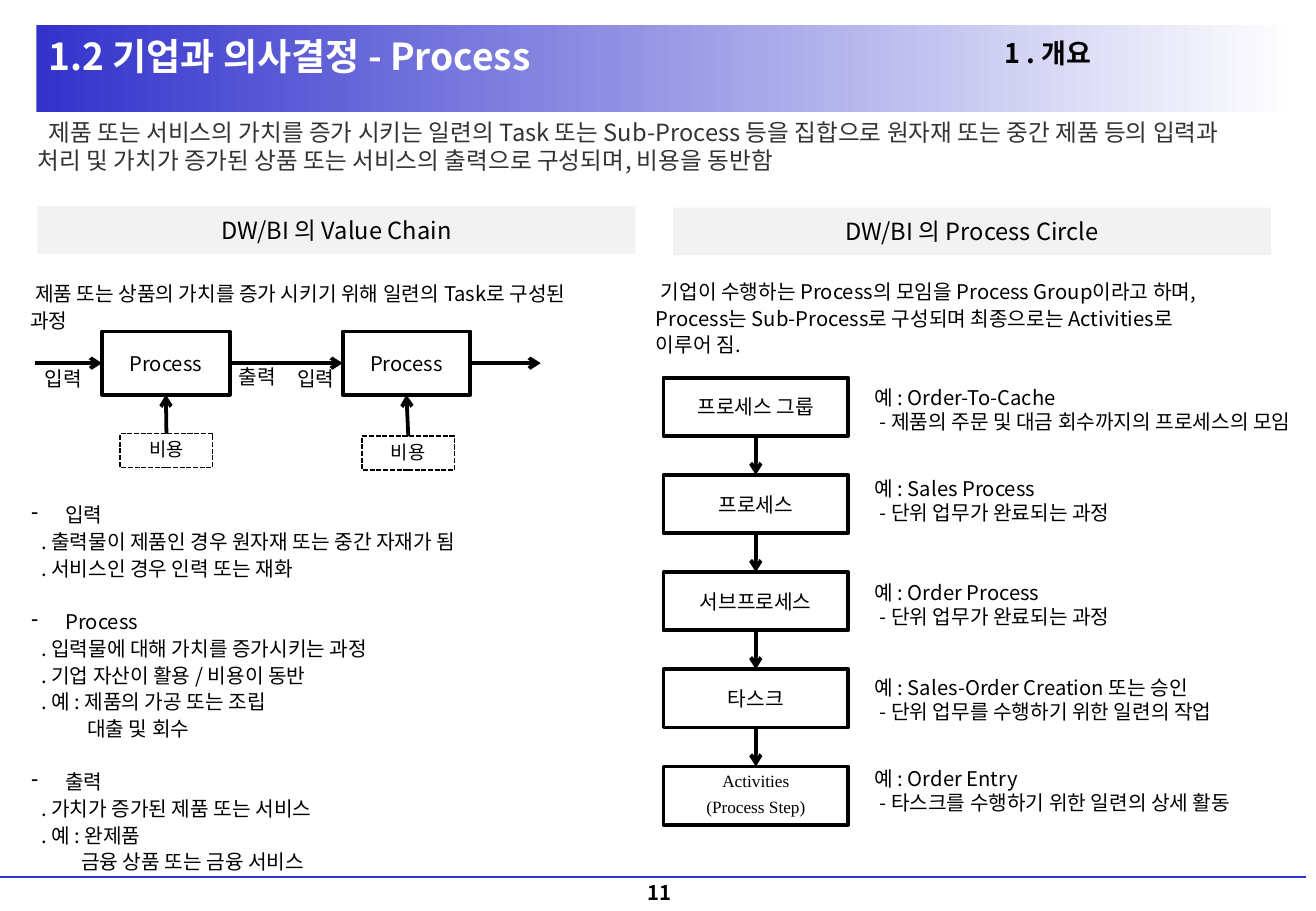
from dataclasses import dataclass
from typing import NamedTuple

from lxml import etree
from pptx import Presentation, util as u
from pptx.dml import color
from pptx.enum import dml, shapes, text
from pptx.oxml import ns


@dataclass(frozen=True)
class Theme:
    sans: str = "Noto Sans CJK KR"
    serif: str = "Times New Roman"
    blue: str = "3333CC"
    white: str = "FFFFFF"
    black: str = "000000"
    gray: str = "333333"
    band: str = "F2F2F2"
    title: float = 22
    chapter: float = 16
    lead: float = 14
    body: float = 12
    cost: float = 11.1
    step: float = 10.2
    thick: float = 2.25
    thin: float = 1


T = Theme()
LEFT, CENTER, RIGHT = text.PP_ALIGN.LEFT, text.PP_ALIGN.CENTER, text.PP_ALIGN.RIGHT
TOP, MIDDLE, BOTTOM = (text.MSO_ANCHOR.TOP, text.MSO_ANCHOR.MIDDLE,
                       text.MSO_ANCHOR.BOTTOM)


class Box(NamedTuple):
    x: float
    y: float
    w: float
    h: float


class Line(NamedTuple):
    text: str
    indent: float = 0
    bullet: str = ""
    before: float = 0
    spacing: float = 1.0


class Style(NamedTuple):
    size: float = T.body
    color: str = T.black
    bold: bool = False
    align: text.PP_ALIGN = LEFT
    anchor: text.MSO_ANCHOR = TOP
    inset: bool = True
    font: str = T.sans


class Level(NamedTuple):
    lines: list[Line]
    style: Style
    example_y: float
    example: str
    detail: str


BOXED = Style(align=CENTER, anchor=MIDDLE)
BAND = Style(T.lead, align=CENTER, anchor=MIDDLE, inset=False)


def rgb(value: str) -> color.RGBColor:
    return color.RGBColor.from_string(value)


def write(sp, lines: list[Line], style: Style) -> None:
    tf = sp.text_frame
    tf.word_wrap = True
    tf.vertical_anchor = style.anchor
    if not style.inset:
        tf.margin_left = tf.margin_right = tf.margin_top = tf.margin_bottom = 0
    tf.text = "\n".join(line.text for line in lines)
    for p, line in zip(tf.paragraphs, lines):
        p.alignment = style.align
        p.line_spacing = line.spacing
        if line.before:
            p.space_before = u.Pt(line.before)
        pPr = p._p.get_or_add_pPr()
        if line.bullet:
            pPr.set("marL", str(u.Inches(line.indent)))
            pPr.set("indent", str(-u.Inches(line.indent)))
            etree.SubElement(pPr, ns.qn("a:buChar")).set("char", line.bullet)
        elif line.indent:
            pPr.set("marL", "0")
            pPr.set("indent", str(u.Inches(line.indent)))
        for r in p.runs:
            r.font.name = style.font
            r.font.size = u.Pt(style.size)
            r.font.bold = style.bold
            r.font.color.rgb = rgb(style.color)
            etree.SubElement(r._r.get_or_add_rPr(), ns.qn("a:ea")).set("typeface", T.sans)


def label(s, box: Box, lines: list[Line], style: Style = Style()) -> None:
    write(s.shapes.add_textbox(*map(u.Inches, box)), lines, style)


def rect(s, box: Box, lines: list[Line], style: Style, fill: str = "",
         border: float = 0, dashed: bool = False):
    sp = s.shapes.add_shape(shapes.MSO_SHAPE.RECTANGLE, *map(u.Inches, box))
    sp.shadow.inherit = False
    if fill:
        sp.fill.solid()
        sp.fill.fore_color.rgb = rgb(fill)
    else:
        sp.fill.background()
    if border:
        sp.line.color.rgb = rgb(T.black)
        sp.line.width = u.Pt(border)
        if dashed:
            sp.line.dash_style = dml.MSO_LINE.SQUARE_DOT
    else:
        sp.line.fill.background()
    if lines:
        write(sp, lines, style)
    return sp


def connect(s, start: tuple[float, float], end: tuple[float, float], begin_at=None,
            end_at=None, width: float = T.thick, ink: str = T.black, arrow: bool = True):
    cn = s.shapes.add_connector(shapes.MSO_CONNECTOR.STRAIGHT, *map(u.Inches, start + end))
    if begin_at:
        cn.begin_connect(*begin_at)
    if end_at:
        cn.end_connect(*end_at)
    cn.line.color.rgb = rgb(ink)
    cn.line.width = u.Pt(width)
    if arrow:
        etree.SubElement(cn.line._get_or_add_ln(), ns.qn("a:tailEnd")).set("type", "arrow")
    etree.SubElement(cn._element.spPr, ns.qn("a:effectLst"))


def frame(s) -> None:
    # Title bar
    bar = rect(s, Box(0.3, 0.21, 10.4, 0.71), [], BOXED)
    bar.fill.gradient()
    bar.fill.gradient_angle = 0
    for stop, tone, position in zip(bar.fill.gradient_stops, (T.blue, T.white), (0, 1)):
        stop.color.rgb = rgb(tone)
        stop.position = position
    label(s, Box(0.3, 0.22, 7.72, 0.48), [Line("1.2 기업과 의사결정 - Process")],
          Style(T.title, T.white, True, anchor=MIDDLE))
    label(s, Box(4.88, 0.19, 4.1, 0.48), [Line("1 . 개요")],
          Style(T.chapter, bold=True, align=RIGHT, anchor=MIDDLE, inset=False))
    # Lead sentence
    label(s, Box(0.31, 0.97, 10.06, 0.98), [Line(
        "제품 또는 서비스의 가치를 증가 시키는 일련의 Task 또는 Sub-Process 등을 집합으로 "
        "원자재 또는 중간 제품 등의 입력과 처리 및 가치가 증가된 상품 또는 서비스의 출력으로 "
        "구성되며, 비용을 동반함", 0.09)], Style(T.lead, T.gray, inset=False))
    # Column headings
    for x, y, name in ((0.31, 1.7, "Value Chain"), (5.54, 1.71, "Process Circle")):
        rect(s, Box(x, y, 4.92, 0.39), [Line(f"DW/BI 의 {name}")], BAND, fill=T.band)
    # Footer
    connect(s, (10.75, 7.22), (0, 7.22), width=1.5, ink=T.blue, arrow=False)
    label(s, Box(4.3, 7.21, 2.26, 0.29), [Line("11")],
          Style(bold=True, align=CENTER, anchor=BOTTOM))


def value_chain(s) -> None:
    label(s, Box(0.15, 2.25, 4.91, 0.32), [Line(
        "제품 또는 상품의 가치를 증가 시키기 위해 일련의 Task로 구성된 과정", 0.04, spacing=1.1)])
    # Processes, each fed by a cost
    steps = []
    for x, cost_x, cost_y in ((0.84, 0.99, 3.57), (2.82, 2.98, 3.59)):
        step = rect(s, Box(x, 2.73, 1.05, 0.52), [Line("Process")], BOXED, border=T.thick)
        cost = rect(s, Box(cost_x, cost_y, 0.76, 0.28), [Line("비용", spacing=0.9)],
                    BOXED._replace(size=T.cost), border=T.thin, dashed=True)
        connect(s, (cost_x + 0.38, cost_y), (x + 0.53, 3.25), (cost, 0), (step, 2))
        steps.append(step)
    # Flow through the chain
    first, second = steps
    connect(s, (0.29, 2.99), (0.84, 2.99), end_at=(first, 1))
    connect(s, (1.89, 2.99), (2.82, 2.99), (first, 3), (second, 1))
    connect(s, (3.87, 2.99), (4.45, 2.99), (second, 3))
    for x, y, name in ((0.15, 2.97, "입력"), (1.75, 2.95, "출력"), (2.23, 2.97, "입력")):
        label(s, Box(x, y, 0.74, 0.3), [Line(name)], Style(align=CENTER))
    # Explanations: term, points, continuation indent
    terms = (
        ("입력", [(0.08, ". 출력물이 제품인 경우 원자재 또는 중간 자재가 됨"),
                (0.08, ". 서비스인 경우 인력 또는 재화")]),
        ("Process", [(0.08, ". 입력물에 대해 가치를 증가시키는 과정"),
                     (0.08, ". 기업 자산이 활용 / 비용이 동반"),
                     (0.08, ". 예 : 제품의 가공 또는 조립"), (0.46, "대출 및 회수")]),
        ("출력", [(0.08, ". 가치가 증가된 제품 또는 서비스"),
                (0.08, ". 예 : 완제품"), (0.41, "금융 상품 또는 금융 서비스")]),
    )
    lines = []
    for term, points in terms:
        lines.append(Line(term, 0.28, "-", 15.8 if lines else 0, 1.1))
        lines += [Line(point, indent, spacing=1.1) for indent, point in points]
    label(s, Box(0.16, 4.07, 4.91, 3.21), lines)


def process_circle(s) -> None:
    label(s, Box(5.3, 2.23, 4.91, 0.77), [Line(
        "기업이 수행하는 Process의 모임을 Process Group이라고 하며, Process는 Sub-Process로 "
        "구성되며 최종으로는 Activities로 이루어 짐.", 0.04, spacing=1.1)])
    serif = BOXED._replace(font=T.serif)
    activities = [Line("Activities", spacing=0.8),
                  Line("(Process Step)", before=5.1, spacing=0.8)]
    levels = (
        Level([Line("프로세스 그룹")], serif, 3.12, "Order-To-Cache",
              "제품의 주문 및 대금 회수까지의 프로세스의 모임"),
        Level([Line("프로세스")], serif, 3.87, "Sales Process", "단위 업무가 완료되는 과정"),
        Level([Line("서브프로세스")], serif, 4.73, "Order Process", "단위 업무가 완료되는 과정"),
        Level([Line("타스크")], serif, 5.51, "Sales-Order Creation 또는 승인",
              "단위 업무를 수행하기 위한 일련의 작업"),
        Level(activities, serif._replace(size=T.step), 6.26, "Order Entry",
              "타스크를 수행하기 위한 일련의 상세 활동"),
    )
    # Levels from group down to activities, with examples
    above = None
    for i, level in enumerate(levels):
        y = 3.11 + 0.8 * i
        sp = rect(s, Box(5.46, y, 1.52, 0.48), level.lines, level.style, border=T.thick)
        if above:
            connect(s, (6.22, y - 0.32), (6.22, y), (above, 2), (sp, 0))
        above = sp
        label(s, Box(7.1, level.example_y, 3.73, 0.5),
              [Line(f"예 : {level.example}"), Line(f"- {level.detail}", 0.04)])


def main() -> None:
    prs = Presentation()
    prs.slide_width, prs.slide_height = u.Inches(10.83), u.Inches(7.5)
    s = prs.slides.add_slide(prs.slide_layouts[6])
    frame(s)
    value_chain(s)
    process_circle(s)
    prs.save("out.pptx")


if __name__ == "__main__":
    main()
